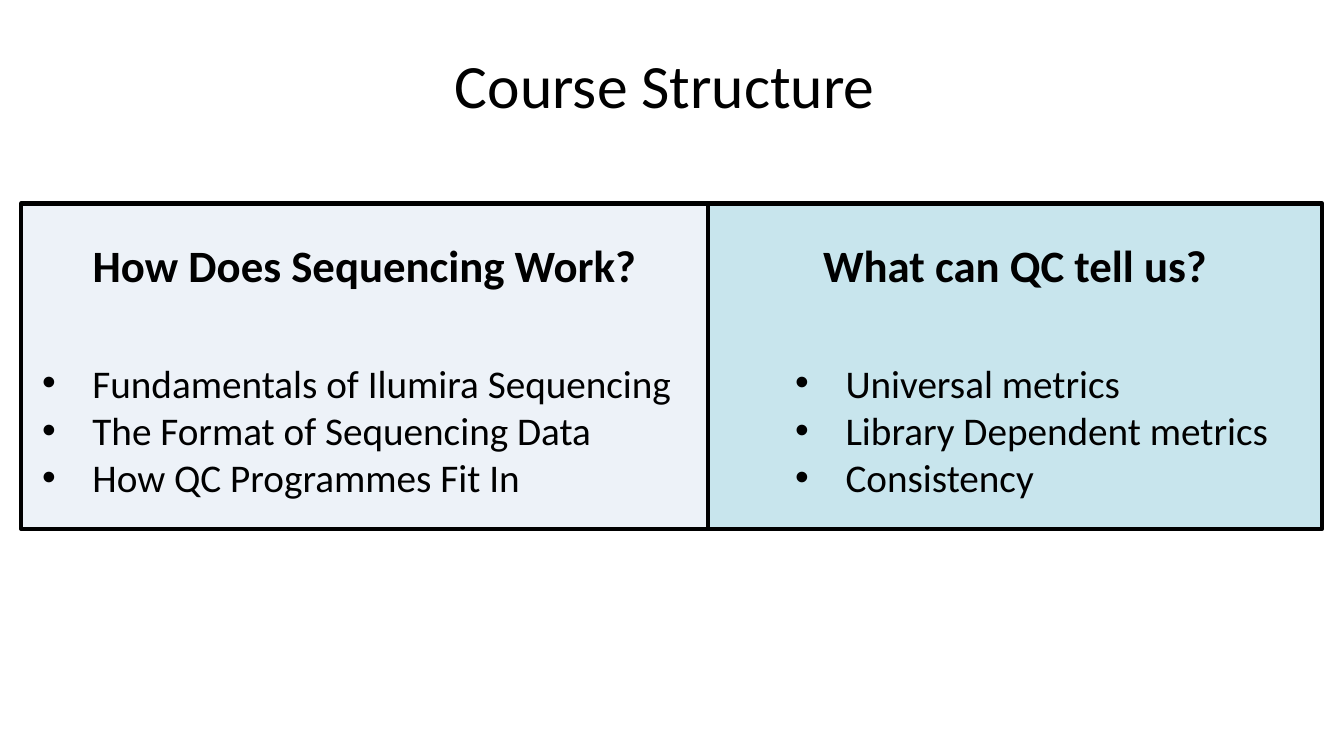
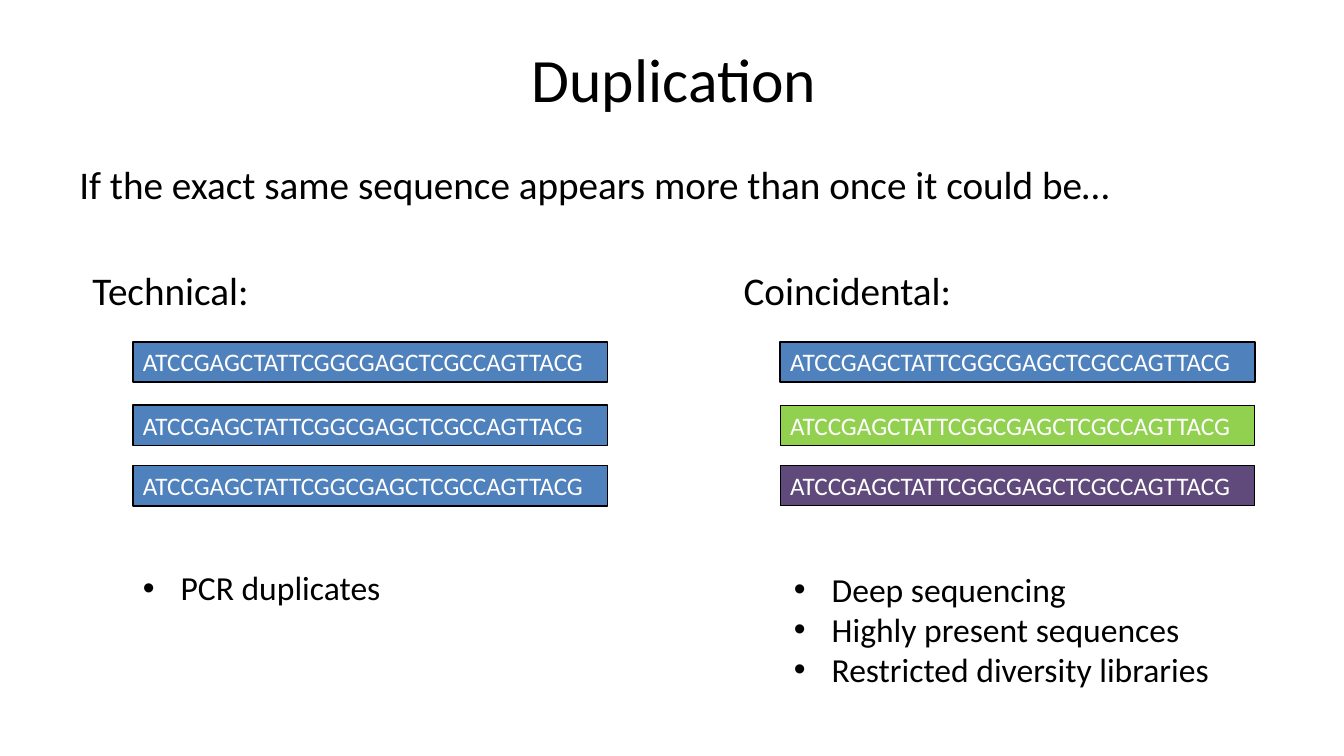
"""Build two course slides: the course structure and sequence duplication."""
from dataclasses import dataclass

from lxml import etree
from pptx import Presentation
from pptx.dml.color import RGBColor
from pptx.enum.shapes import MSO_SHAPE
from pptx.enum.text import MSO_ANCHOR, PP_ALIGN
from pptx.oxml.ns import qn
from pptx.shapes.autoshape import Shape
from pptx.slide import Slide
from pptx.util import Cm, Pt

RECTANGLE = MSO_SHAPE.RECTANGLE
LEFT, CENTER = PP_ALIGN.LEFT, PP_ALIGN.CENTER
TOP, MIDDLE = MSO_ANCHOR.TOP, MSO_ANCHOR.MIDDLE

FONT = "Calibri"
BLACK = RGBColor(0x00, 0x00, 0x00)
WHITE = RGBColor(0xFF, 0xFF, 0xFF)
PALE_BLUE = RGBColor(0xDC, 0xE6, 0xF2)
AQUA = RGBColor(0x93, 0xCD, 0xDD)
BLUE = RGBColor(0x4F, 0x81, 0xBD)
GREEN = RGBColor(0x92, 0xD0, 0x50)
PURPLE = RGBColor(0x60, 0x4A, 0x7B)

SEQUENCE = "ATCCGAGCTATTCGGCGAGCTCGCCAGTTACG"
READ_TOPS = (8.61, 10.21, 11.73)


@dataclass(frozen=True)
class Box:
    """A position and size in centimetres."""
    left: float
    top: float
    width: float
    height: float

    def lengths(self) -> tuple[Cm, Cm, Cm, Cm]:
        """Return the four values as lengths."""
        return Cm(self.left), Cm(self.top), Cm(self.width), Cm(self.height)


@dataclass(frozen=True)
class Topic:
    """A course part: a tinted panel with a heading and its points."""
    heading: str
    points: tuple[str, ...]
    tint: RGBColor
    panel: Box
    points_box: Box


@dataclass(frozen=True)
class Cause:
    """A reason for duplication, with its reads and examples."""
    label: str
    label_left: float
    reads_left: float
    read_colors: tuple[RGBColor, ...]
    examples: tuple[str, ...]
    examples_box: Box


TOPICS = (
    Topic("How Does Sequencing Work?",
          ("Fundamentals of Ilumira Sequencing", "The Format of Sequencing Data",
           "How QC Programmes Fit In"),
          PALE_BLUE, Box(0.53, 5.13, 17.32, 8.2), Box(0.81, 8.92, 16.94, 3.84)),
    Topic("What can QC tell us?",
          ("Universal metrics", "Library Dependent metrics", "Consistency"),
          AQUA, Box(17.85, 5.13, 15.47, 8.2), Box(19.79, 8.92, 12.55, 3.84)),
)
CAUSES = (
    Cause("Technical:", 2.08, 3.35, (BLUE, BLUE, BLUE),
          ("PCR duplicates",), Box(3.35, 14.17, 7.11, 1.27)),
    Cause("Coincidental:", 18.49, 19.66, (BLUE, GREEN, PURPLE),
          ("Deep sequencing", "Highly present sequences",
           "Restricted diversity libraries"), Box(19.76, 14.2, 12.85, 3.33)),
)


def write(shape: Shape, *lines: str, size: float, color: RGBColor = BLACK,
          bold: bool = False, align: PP_ALIGN = LEFT, anchor: MSO_ANCHOR = TOP,
          bullet_indent: float = 0) -> None:
    """Fill a shape with paragraphs, bulleted when an indent is given."""
    frame = shape.text_frame
    frame.word_wrap = True
    frame.vertical_anchor = anchor
    for index, line in enumerate(lines):
        paragraph = frame.add_paragraph() if index else frame.paragraphs[0]
        paragraph.text = line
        paragraph.alignment = align
        if bullet_indent:
            properties = paragraph._p.get_or_add_pPr()
            properties.set("marL", str(Cm(bullet_indent)))
            properties.set("indent", str(-Cm(bullet_indent)))
            etree.SubElement(properties, qn("a:buFont"), typeface="Arial")
            etree.SubElement(properties, qn("a:buChar"), char="•")
        font = paragraph.font
        font.name, font.size, font.bold = FONT, Pt(size), bold
        font.color.rgb = color


def add_text(slide: Slide, box: Box, *lines: str, **style) -> None:
    """Add a text box written in the given style."""
    write(slide.shapes.add_textbox(*box.lengths()), *lines, **style)


def add_rectangle(slide: Slide, box: Box, color: RGBColor, line_width: float,
                  opacity: int = 100) -> Shape:
    """Add a filled, black-edged rectangle with an opacity in percent."""
    rectangle = slide.shapes.add_shape(RECTANGLE, *box.lengths())
    rectangle.shadow.inherit = False
    rectangle.fill.solid()
    rectangle.fill.fore_color.rgb = color
    rectangle.line.color.rgb = BLACK
    rectangle.line.width = Pt(line_width)
    if opacity < 100:
        fill_color = rectangle.element.spPr.find(qn("a:solidFill"))[0]
        etree.SubElement(fill_color, qn("a:alpha"), val=str(opacity * 1000))
    return rectangle


def add_titled_slide(deck, title: str, left: float, top: float) -> Slide:
    """Add a blank slide with a centred title."""
    slide = deck.slides.add_slide(deck.slide_layouts[6])
    add_text(slide, Box(left, top, 30.48, 3.18), title, size=44,
             align=CENTER, anchor=MIDDLE)
    return slide


def add_topic(slide: Slide, topic: Topic) -> None:
    """Draw one part of the course."""
    panel = topic.panel
    add_rectangle(slide, panel, topic.tint, 3, opacity=50)
    add_text(slide, Box(panel.left, 5.87, panel.width, 2.03), topic.heading,
             size=32, bold=True, align=CENTER)
    add_text(slide, topic.points_box, *topic.points, size=28, bullet_indent=1.27)


def add_cause(slide: Slide, cause: Cause) -> None:
    """Draw one cause of duplication."""
    add_text(slide, Box(cause.label_left, 6.58, 6.15, 1.8), cause.label, size=28)
    for top, color in zip(READ_TOPS, cause.read_colors):
        edge = 1.25 if color == BLUE else 0.75
        read = add_rectangle(slide, Box(cause.reads_left, top, 11.96, 1.02), color, edge)
        write(read, SEQUENCE, size=18, color=WHITE)
    add_text(slide, cause.examples_box, *cause.examples, size=24, bullet_indent=0.95)


def main() -> None:
    """Build and save the deck."""
    deck = Presentation()
    deck.slide_width, deck.slide_height = Cm(33.87), Cm(19.05)

    structure = add_titled_slide(deck, "Course Structure", 1.52, 0.53)
    for topic in TOPICS:
        add_topic(structure, topic)

    duplication = add_titled_slide(deck, "Duplication", 1.75, 0.38)
    add_text(duplication, Box(1.75, 3.91, 28.98, 1.8),
             "If the exact same sequence appears more than once it could be…", size=28)
    for cause in CAUSES:
        add_cause(duplication, cause)

    deck.save("out.pptx")


if __name__ == "__main__":
    main()
